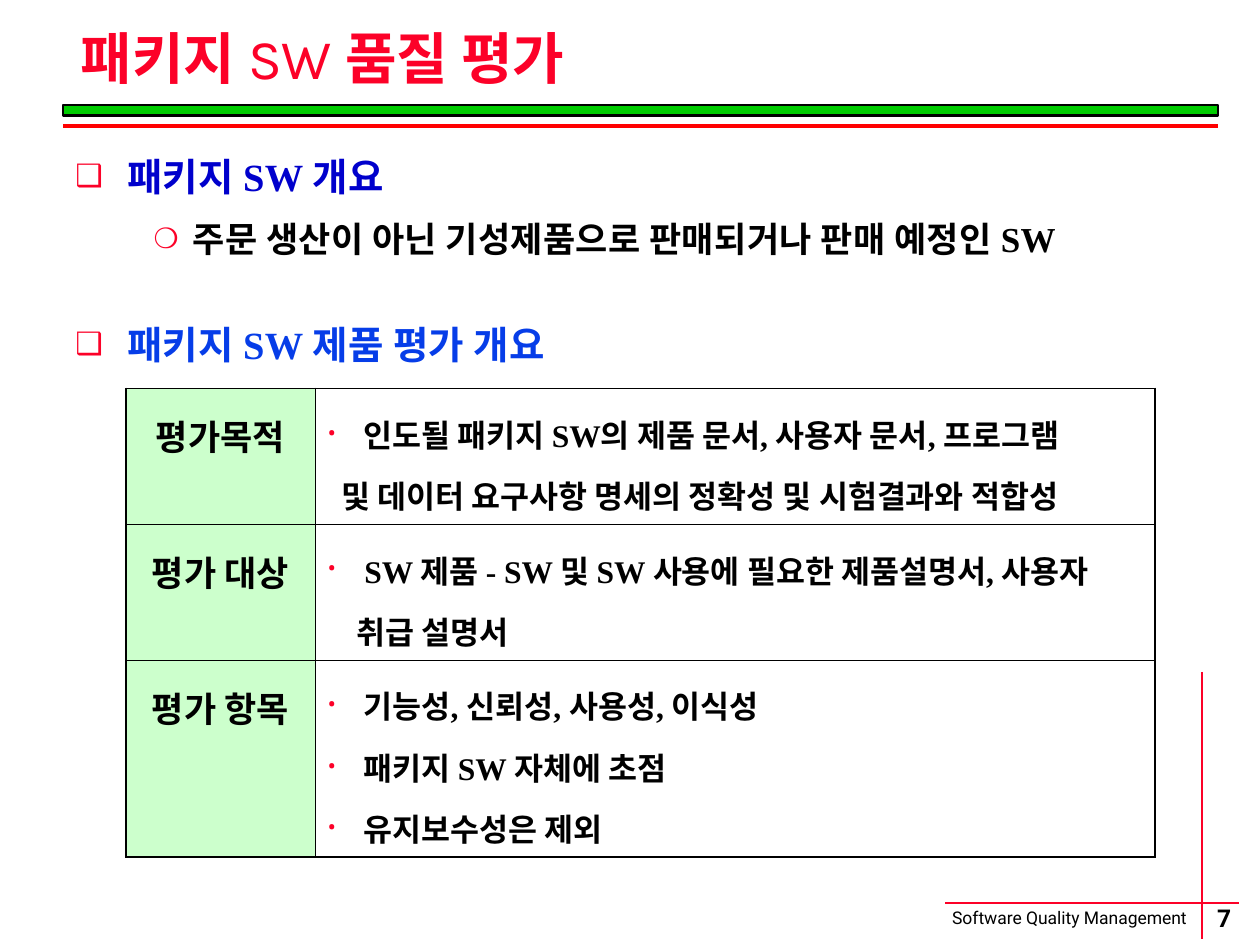
from lxml import etree
from pptx import Presentation
from pptx import util as u
from pptx.dml.color import RGBColor
from pptx.enum import shapes, text
from pptx.oxml.ns import qn

COLS, ROWS = 60, 45
UNIT = u.Inches(10) / COLS
RED, BLACK, GREEN, MINT = "FC0128", "000000", "00CC00", "CCFFCC"
SERIF, SANS = "Times New Roman", "Roboto"
THICK, THIN = 1.08, 0.45


def grid(*values):
    return [u.Emu(round(v * UNIT)) for v in values]


def rgb(value):
    return RGBColor.from_string(value)


def sub(parent, tag, **attrs):
    return etree.SubElement(parent, qn(tag), {k: str(v) for k, v in attrs.items()})


def add_run(p, words, color, **fmt):
    r = p.add_run()
    r.text = words
    for name, value in fmt.items():
        setattr(r.font, name, value)
    r.font.color.rgb = rgb(color)
    return r


def set_indent(p, left, hang=0, bullet=None):
    pPr = p._p.get_or_add_pPr()
    pPr.set("marL", str(u.Inches(left)))
    pPr.set("indent", str(-u.Inches(hang)))
    if bullet:
        sub(sub(pPr, "a:buClr"), "a:srgbClr", val=RED)
        sub(pPr, "a:buSzPct", val=80000)
        sub(pPr, "a:buFont", typeface=SANS)
        sub(pPr, "a:buChar", char=bullet)


def add_text(s, box, **fmt):
    tf = s.shapes.add_textbox(*grid(*box)).text_frame
    for name, value in {"word_wrap": True, **fmt}.items():
        setattr(tf, name, value)
    return tf


def add_line(s, start, end, color, width):
    line = s.shapes.add_connector(shapes.MSO_CONNECTOR.STRAIGHT, *grid(*start, *end))
    line.line.color.rgb = rgb(color)
    line.line.width = u.Pt(width)
    sub(line._element.spPr, "a:effectLst")


def add_footer(s, x, y, w, h):
    rule_y, rule_x = y + h - 2, x + w - 1.75
    add_line(s, (x, rule_y), (x + w, rule_y), RED, 1)
    tf = add_text(s, (x - 0.25, rule_y - 0.1, 13.15, 1.6), word_wrap=False)
    add_run(tf.paragraphs[0], "Software Quality Management", BLACK, name=SANS, size=u.Pt(10))
    add_line(s, (rule_x, y), (rule_x, y + h - 0.3), RED, 1)
    tf = add_text(s, (x + w - 3.7, rule_y - 0.1, 6, 1.6), word_wrap=False,
                  vertical_anchor=text.MSO_ANCHOR.MIDDLE, margin_left=0,
                  margin_right=0, margin_top=0, margin_bottom=0)
    p = tf.paragraphs[0]
    p.alignment = text.PP_ALIGN.CENTER
    add_run(p, "7", BLACK, name=SANS, size=u.Pt(14), bold=True)


def add_header(s, x, y, w, h):
    bar = s.shapes.add_shape(shapes.MSO_SHAPE.RECTANGLE, *grid(x, y + h - 1, w, 0.5))
    bar.shadow.inherit = False
    bar.fill.solid()
    bar.fill.fore_color.rgb = rgb(GREEN)
    bar.line.color.rgb = rgb(BLACK)
    bar.line.width = u.Pt(1.5)
    add_line(s, (x, y + h), (x + w, y + h), "FF0000", 2.25)
    tf = add_text(s, (x + 0.25, y + 1.6, w - 2.3, 2.65),
                  vertical_anchor=text.MSO_ANCHOR.MIDDLE)
    p = tf.paragraphs[0]
    p.line_spacing = 0.9
    for words, font, bold in (("패키지 ", SANS, True), ("SW ", "Karla", False),
                              ("품질 평가", SANS, True)):
        add_run(p, words, RED, name=font, size=u.Pt(32), bold=bold)


def add_outline(s, x, y, w, h):
    tf = add_text(s, (x, y, w, h))
    lines = (
        ("패키지 SW 개요", "0000CC", 22, "❑", 0.41, 0.41, 1.45, 0),
        ("주문 생산이 아닌 기성제품으로 판매되거나 판매 예정인 SW",
         BLACK, 20, "❍", 0.93, 0.31, 1.45, 0),
        ("패키지 SW 제품 평가 개요", "063DE8", 22, "❑", 0.41, 0.41, 1, 35),
    )
    for i, (words, color, size, bullet, left, hang, spacing, before) in enumerate(lines):
        p = tf.add_paragraph() if i else tf.paragraphs[0]
        p.line_spacing = spacing
        if before:
            p.space_before = u.Pt(before)
        set_indent(p, left, hang, bullet)
        r = add_run(p, words, color, name=SERIF, size=u.Pt(size), bold=True)
        r._r.get_or_add_rPr().set("spc", "20")


def set_borders(cell, **widths):
    tcPr = cell._tc.get_or_add_tcPr()
    for i, side in enumerate("LRTB"):
        ln = etree.Element(qn(f"a:ln{side}"), w=str(u.Pt(widths[side])))
        sub(sub(ln, "a:solidFill"), "a:srgbClr", val=BLACK)
        tcPr.insert(i, ln)


def add_criteria(s, x, y, w, h):
    rows = (
        ("평가목적", 6.47, ((" 인도될 패키지 SW의 제품 문서, 사용자 문서, 프로그램", "•"),
                        ("및 데이터 요구사항 명세의 정확성 및 시험결과와 적합성", None))),
        ("평가 대상", 6.47, ((" SW 제품 - SW 및 SW 사용에 필요한 제품설명서, 사용자 취급 설명서", "•"),)),
        ("평가 항목", h - 12.94, ((" 기능성, 신뢰성, 사용성, 이식성", "•"),
                              (" 패키지 SW 자체에 초점", "•"), (" 유지보수성은 제외", "•"))),
    )
    table = s.shapes.add_table(len(rows), 2, *grid(x, y, w, h)).table
    table.first_row = table.horz_banding = False
    for column, width in zip(table.columns, grid(9, w - 9)):
        column.width = width
    for i, (label, height, points) in enumerate(rows):
        table.rows[i].height = grid(height)[0]
        head, body = table.cell(i, 0), table.cell(i, 1)
        for cell, fill in ((head, MINT), (body, "FFFFFF")):
            cell.fill.solid()
            cell.fill.fore_color.rgb = rgb(fill)
            set_borders(cell, L=THICK if cell is head else THIN,
                        R=THIN if cell is head else THICK,
                        T=THIN if i else THICK,
                        B=THICK if i == len(rows) - 1 else THIN)
        p = head.text_frame.paragraphs[0]
        p.alignment = text.PP_ALIGN.CENTER
        p.line_spacing = 1.3
        add_run(p, label, BLACK, name=SERIF, size=u.Pt(20), bold=True)
        tf = body.text_frame
        for j, (words, bullet) in enumerate(points):
            p = tf.add_paragraph() if j else tf.paragraphs[0]
            p.line_spacing = 1.35
            set_indent(p, *((0.23, 0.23, bullet) if bullet else (0.11,)))
            add_run(p, words, BLACK, name=SERIF, size=u.Pt(18), bold=True)


def main():
    prs = Presentation()
    prs.slide_width, prs.slide_height = grid(COLS, ROWS)
    s = prs.slides.add_slide(prs.slide_layouts[6])
    add_footer(s, 45, 32, 14, 13)
    add_header(s, 3, 0, 55, 6)
    add_outline(s, 3, 6, 55, 36)
    add_criteria(s, 6, 18.5, 49, 22.3)
    prs.save("out.pptx")


if __name__ == "__main__":
    main()
